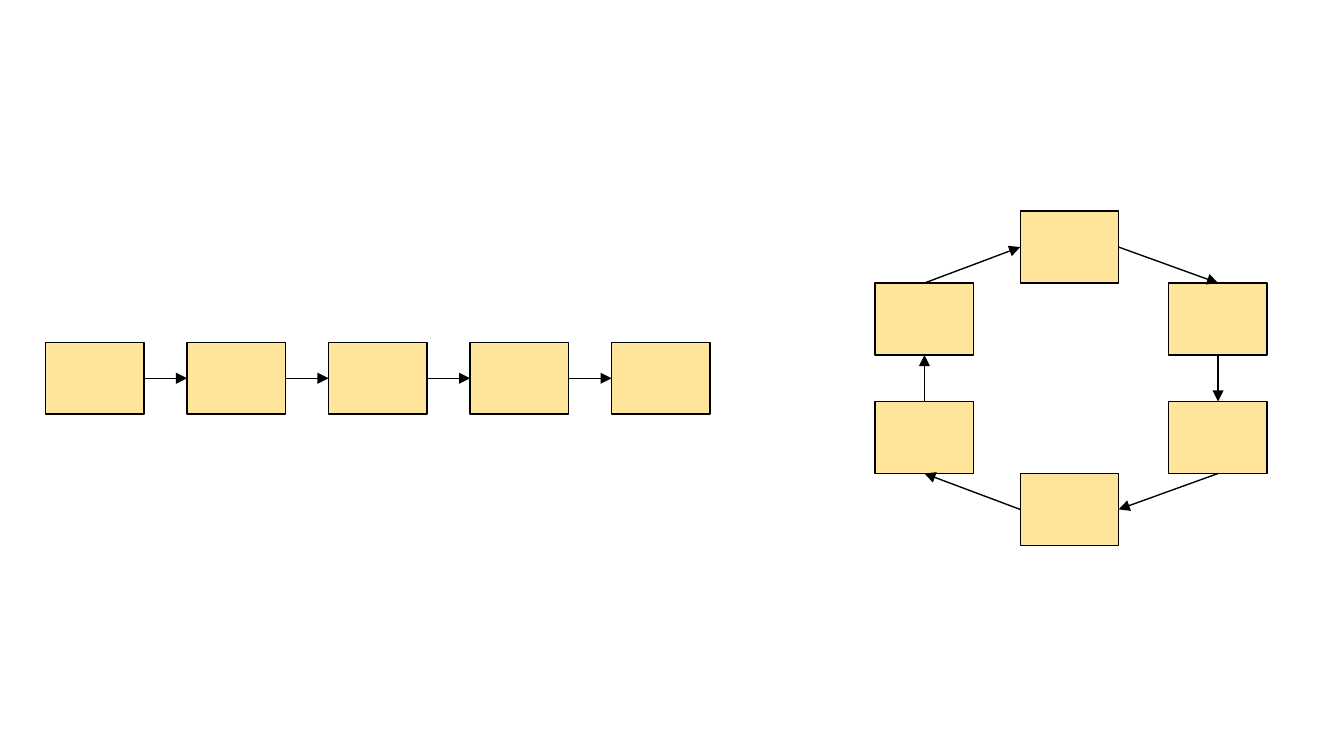
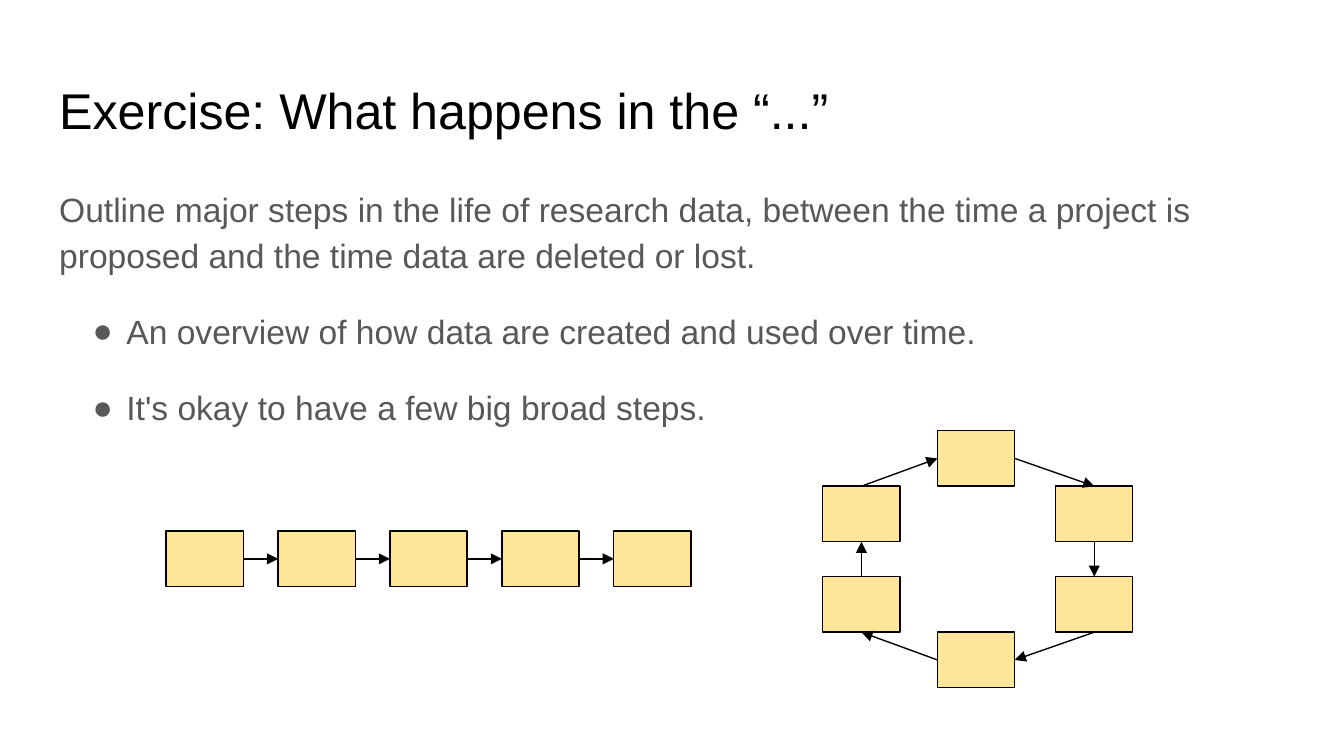
from dataclasses import dataclass
from itertools import pairwise
from pptx import Presentation as Deck
from pptx.dml.color import RGBColor as Rgb
from pptx.enum.shapes import MSO_CONNECTOR as Link, MSO_SHAPE as Form
from pptx.enum.text import MSO_ANCHOR as Anchor
from pptx.oxml.ns import qn
from pptx.util import Cm, Pt
from lxml.etree import SubElement as Sub

TOP, LEFT, LOW, RIGHT = range(4)


@dataclass(frozen=True)
class Theme:
    ink: Rgb = Rgb.from_string("000000")
    grey: Rgb = Rgb.from_string("585858")
    sand: Rgb = Rgb.from_string("FFE599")
    white: Rgb = Rgb.from_string("FFFFFF")
    font: str = "Arial"
    head: float = 26.9
    body: float = 18
    rule: float = 0.75
    inset: float = 0.25
    mark: str = "●"


LOOK = Theme()


def bullet(para):
    props = para._p.get_or_add_pPr()
    props.set("marL", str(Cm(1.27)))
    props.set("indent", str(Cm(-0.64)))
    Sub(props, qn("a:buFont")).set("typeface", LOOK.font)
    Sub(props, qn("a:buChar")).set("char", LOOK.mark)


def write(frame, text, first=False, size=LOOK.body, color=LOOK.grey,
          lead=None, gap=0, dot=False):
    para = frame.paragraphs[0] if first else frame.add_paragraph()
    para.line_spacing = lead
    para.space_before = Pt(gap)
    if dot:
        bullet(para)
    run = para.add_run()
    run.text = text
    run.font.name = LOOK.font
    run.font.size = Pt(size)
    run.font.color.rgb = color


def panel(slide, area):
    frame = slide.shapes.add_textbox(*map(Cm, area)).text_frame
    frame.word_wrap = True
    frame.vertical_anchor = Anchor.TOP
    frame.margin_left = frame.margin_right = Cm(LOOK.inset)
    frame.margin_top = frame.margin_bottom = Cm(LOOK.inset)
    return frame


def block(group, x, y, w, h):
    box = group.shapes.add_shape(Form.RECTANGLE, *map(Cm, (x, y, w, h)))
    box.shadow.inherit = False
    box.fill.solid()
    box.fill.fore_color.rgb = LOOK.sand
    box.line.color.rgb = LOOK.ink
    box.line.width = Pt(LOOK.rule)
    return box


def site(box, side):
    dx, dy = {TOP: (1, 0), LEFT: (0, 1), LOW: (1, 2), RIGHT: (2, 1)}[side]
    return box.left + box.width * dx // 2, box.top + box.height * dy // 2


def arrow(group, start, out, end, into):
    line = group.shapes.add_connector(
        Link.STRAIGHT, *site(start, out), *site(end, into))
    line.begin_connect(start, out)
    line.end_connect(end, into)
    line.line.color.rgb = LOOK.ink
    line.line.width = Pt(LOOK.rule)
    Sub(line.line._get_or_add_ln(), qn("a:tailEnd")).set("type", "triangle")
    Sub(line._element.spPr, qn("a:effectLst"))


def chain(slide, area, size, count=5):
    x, y, wide = area
    w, h = size
    step = (wide - w) / (count - 1)
    group = slide.shapes.add_group_shape()
    boxes = [block(group, x + i * step, y, w, h) for i in range(count)]
    for start, end in pairwise(boxes):
        arrow(group, start, RIGHT, end, LEFT)


def ring(slide, area, size):
    x, y, wide, tall = area
    w, h = size
    mid, far = 0.37 * wide, wide - w
    spots = [(mid, 0), (far, h), (far, tall - 2 * h),
             (mid, tall - h), (0, tall - 2 * h), (0, h)]
    sides = [(RIGHT, TOP), (LOW, TOP), (LOW, RIGHT),
             (LEFT, LOW), (TOP, LOW), (TOP, LEFT)]
    group = slide.shapes.add_group_shape()
    boxes = [block(group, x + dx, y + dy, w, h) for dx, dy in spots]
    for start, end, (out, into) in zip(boxes, boxes[1:] + boxes[:1], sides):
        arrow(group, start, out, end, into)


def title(slide, area, text):
    write(panel(slide, area), text, first=True, size=LOOK.head, color=LOOK.ink)


def brief(slide, area, intro, points):
    frame = panel(slide, area)
    write(frame, intro, first=True, lead=1.15, gap=16)
    for point in points:
        write(frame, point, lead=1.15, gap=16, dot=True)


def page(deck):
    slide = deck.slides.add_slide(deck.slide_layouts[6])
    slide.background.fill.solid()
    slide.background.fill.fore_color.rgb = LOOK.white
    return slide


def shapes(deck):
    slide = page(deck)
    size = 1.86, 1.36
    chain(slide, (0.86, 6.47, 12.56), size)
    ring(slide, (16.54, 3.99, 7.41, 6.32), size)


def task(deck):
    slide = page(deck)
    title(slide, (0.87, 1.25, 23.67, 1.6), "Exercise: What happens in the “...”")
    brief(slide, (0.87, 3.2, 23.67, 9.5),
          "Outline major steps in the life of research data, between the time "
          "a project is proposed and the time data are deleted or lost.",
          ["An overview of how data are created and used over time.",
           "It's okay to have a few big broad steps."])
    size = 1.46, 1.05
    chain(slide, (3.14, 10.04, 9.92), size)
    ring(slide, (15.55, 8.14, 5.86, 4.86), size)


def main():
    deck = Deck()
    deck.slide_width, deck.slide_height = Cm(25.4), Cm(14.29)
    shapes(deck)
    task(deck)
    deck.save("out.pptx")


if __name__ == "__main__":
    main()
